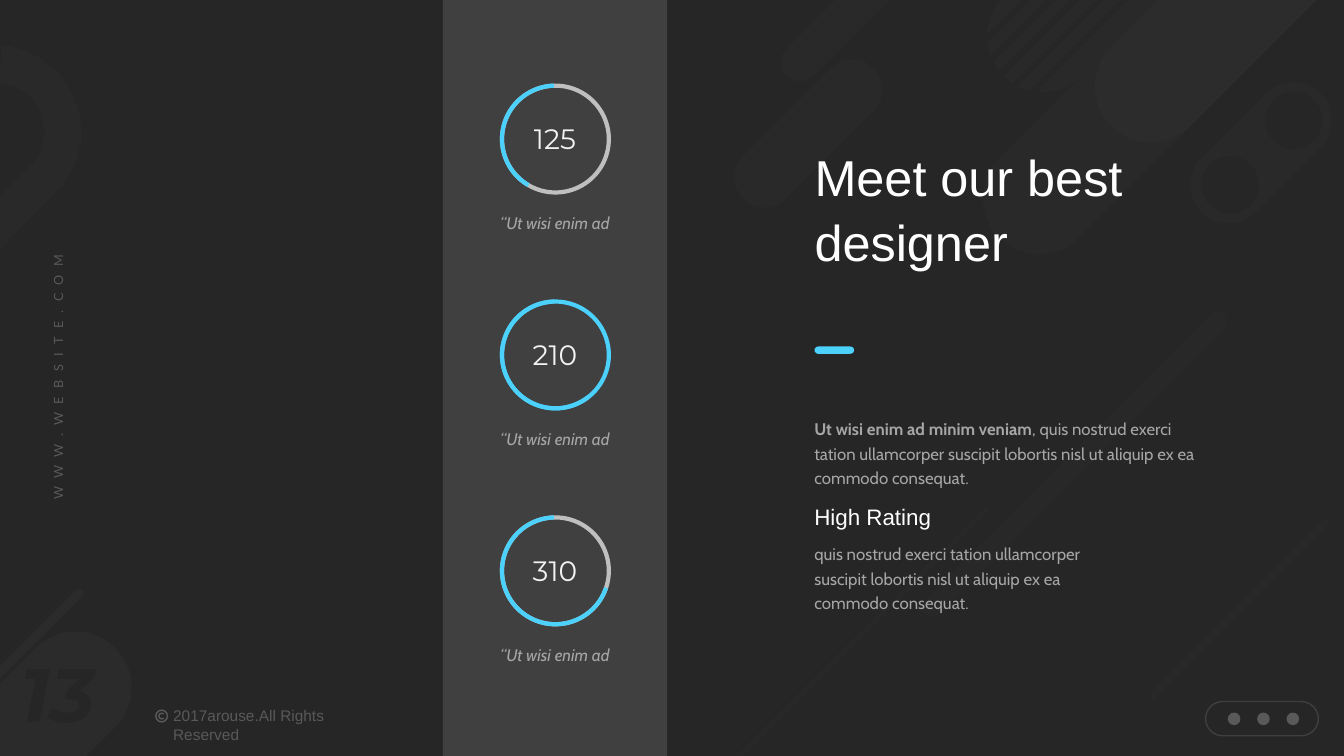
"""Build the dark "Meet our best designer" slide."""
from math import cos, radians, sin

from lxml.etree import SubElement
from pptx import Presentation
from pptx.dml.color import RGBColor
from pptx.enum.shapes import MSO_SHAPE
from pptx.enum.text import MSO_ANCHOR, MSO_AUTO_SIZE, PP_ALIGN
from pptx.oxml.ns import qn
from pptx.util import Pt

DARK = RGBColor(0x26, 0x26, 0x26)
PANEL = RGBColor(0x40, 0x40, 0x40)
DIM = RGBColor(0x59, 0x59, 0x59)
BODY = RGBColor(0xA6, 0xA6, 0xA6)
RING = RGBColor(0xBF, 0xBF, 0xBF)
LIGHT = RGBColor(0xF2, 0xF2, 0xF2)
WHITE = RGBColor(0xFF, 0xFF, 0xFF)
BLUE = RGBColor(0x4B, 0xD1, 0xFB)

FONTS = {
    "title": (dict(name="Arial", size=Pt(36)), WHITE),
    "heading": (dict(name="Arial", size=Pt(16)), WHITE),
    "body": (dict(name="Cabin", size=Pt(12)), BODY),
    "strong": (dict(name="Cabin", size=Pt(12), bold=True), BODY),
    "quote": (dict(name="Cabin", size=Pt(12), italic=True), BODY),
    "value": (dict(name="Montserrat", size=Pt(20)), LIGHT),
    "page": (dict(name="Montserrat", size=Pt(54), bold=True, italic=True), DARK),
    "site": (dict(name="Lato", size=Pt(9)), DIM),
    "rights": (dict(name="Arial", size=Pt(11)), DIM),
}


class Deck:
    """Hold the style and the current slide."""

    def __init__(self, s, fonts):
        self.s, self.fonts = s, fonts
        fill = s.background.fill
        fill.solid()
        fill.fore_color.rgb = DARK

    def paint(self, sp, fill=None, line=None, width=1, opacity=100):
        sp.shadow.inherit = False
        for part, color in ((sp.fill, fill), (sp.line.fill, line)):
            if color is None:
                part.background()
                continue
            part.solid()
            part.fore_color.rgb = color
        if line is not None:
            sp.line.width = Pt(width)
        if opacity < 100:
            for color in sp._element.spPr.iter(qn("a:srgbClr")):
                SubElement(color, qn("a:alpha"), val=str(opacity * 1000))
        return sp

    def shape(self, kind, x, y, w, h, **look):
        sp = self.s.shapes.add_shape(kind, Pt(x), Pt(y), Pt(w), Pt(h))
        return self.paint(sp, **look)

    def pill(self, x, y, w, h, rotation=0, **look):
        sp = self.shape(MSO_SHAPE.ROUNDED_RECTANGLE, x, y, w, h, **look)
        sp.adjustments[0] = 0.5
        sp.rotation = rotation
        return sp

    def disc(self, x, y, size, **look):
        return self.shape(MSO_SHAPE.OVAL, x, y, size, size, **look)

    def arc(self, x, y, size, start, end, **look):
        sp = self.shape(MSO_SHAPE.ARC, x, y, size, size, **look)
        for i, angle in enumerate((start, end)):
            sp.adjustments[i] = angle * 0.6
        return sp

    def outline(self, points, **look):
        builder = self.s.shapes.build_freeform(*points[0], scale=Pt(1))
        builder.add_line_segments(points[1:], close=True)
        return self.paint(builder.convert_to_shape(), **look)

    def fill_text(self, sp, runs, align=PP_ALIGN.LEFT, spacing=1.0):
        tf = sp.text_frame
        frame = dict(word_wrap=True, auto_size=MSO_AUTO_SIZE.NONE,
                     vertical_anchor=MSO_ANCHOR.TOP)
        for name, value in frame.items():
            setattr(tf, name, value)
        p = tf.paragraphs[0]
        p.alignment, p.line_spacing = align, spacing
        for style, text in runs:
            r = p.add_run()
            r.text = text
            values, color = self.fonts[style]
            for name, value in values.items():
                setattr(r.font, name, value)
            r.font.color.rgb = color
        return sp

    def text(self, x, y, w, h, *runs, **layout):
        sp = self.s.shapes.add_textbox(Pt(x), Pt(y), Pt(w), Pt(h))
        return self.fill_text(sp, runs, **layout)

    def title(self, x, y, w, h, text, **layout):
        sp = self.s.shapes.title
        box = dict(left=x, top=y, width=w, height=h)
        for name, value in box.items():
            setattr(sp, name, Pt(value))
        self.s.shapes._spTree.append(sp._element)
        return self.fill_text(sp, [("title", text)], **layout)

    def dial(self, y, value, start, ring):
        x, size = 358.6, 76.3
        self.disc(x, y, size, line=ring, width=3)
        self.arc(x, y, size, start, 268.5, line=BLUE, width=3)
        self.text(369.4, y + 22.3, 54, 31.7, ("value", value),
                  align=PP_ALIGN.CENTER)
        self.text(343.4, y + 84.5, 106, 24.5, ("quote", "“Ut wisi enim ad"),
                  align=PP_ALIGN.CENTER, spacing=1.2)


def circle_points(radius, angles):
    """Return points on a circle around the centre of the left hook."""
    return [(-3.6 + radius * cos(radians(a)), 94 + radius * sin(radians(a)))
            for a in angles]


def draw_backdrop(deck):
    """Draw the faint pills, hook and stripes."""
    hook = (circle_points(61.6, range(-86, 46, 3)) + [(0, 177.8), (0, 140.4)]
            + circle_points(35.2, range(45, -85, -3)))
    deck.outline(hook, fill=PANEL, opacity=15)
    for x, y, w, h in ((830.2, -207.4, 79.9, 442.1), (910.1, -287.3, 79.9, 442.1),
                       (833, -323.3, 79.9, 442.1), (873.4, 49, 54.7, 120.2)):
        deck.pill(x, y, w, h, 45, fill=PANEL, opacity=15)
    for x, y in ((903.6, 65.5), (858.2, 111.6)):
        deck.disc(x, y, 41, fill=DARK)
    for i in range(5):
        deck.pill(697.7 + 17.5 * i, -172.1, 4.3, 410.4, 45, fill=DARK)
    for x, y, w, h, opacity in ((-4.3, 443.5, 79.9, 131.8, 20),
                                (20.2, 406.8, 6.5, 100.1, 20),
                                (596.9, 319.7, 3.6, 300.2, 10),
                                (760.3, 180.7, 14.4, 301.7, 10),
                                (555.8, 29.5, 43.2, 131.8, 12),
                                (594.7, -58.3, 27.4, 131.8, 15),
                                (882.7, 345.6, 5, 179.3, 10)):
        deck.pill(x, y, w, h, 45, fill=PANEL, opacity=opacity)


def draw_footer(deck):
    """Draw the page number, rights line, site address and social pill."""
    deck.text(0, 458.4, 83, 72, ("page", "13"), align=PP_ALIGN.CENTER)
    deck.disc(111.3, 507.3, 8.4, line=DIM)
    deck.arc(113.5, 509.5, 4, 45, 315, line=DIM)
    deck.text(116.6, 501.1, 150, 36, ("rights", "2017arouse.All Rights Reserved"))
    site = deck.text(-62.6, 260.6, 208.1, 18, ("site", "WWW.WEBSITE.COM"),
                     align=PP_ALIGN.CENTER)
    site.rotation = 270
    site.text_frame.paragraphs[0].runs[0].font._element.set("spc", "600")
    deck.pill(861.1, 501.1, 80.6, 24.5, line=DIM, opacity=50)
    for i in range(3):
        deck.disc(877 + 21 * i, 509, 9, fill=DIM)


def main():
    prs = Presentation()
    prs.slide_width, prs.slide_height = Pt(960), Pt(540)
    deck = Deck(prs.slides.add_slide(prs.slide_layouts[5]), FONTS)
    draw_backdrop(deck)
    draw_footer(deck)
    deck.shape(MSO_SHAPE.RECTANGLE, 316.3, 0, 160.3, 540, fill=PANEL)
    dials = (("125", 120.3, RING), ("210", 52.7, BLUE), ("310", 18.6, RING))
    for i, (value, start, ring) in enumerate(dials):
        deck.dial(61.2 + 154.2 * i, value, start, ring)
    deck.text(574.6, 382.3, 214.6, 59.8,
              ("body", "quis nostrud exerci tation ullamcorper suscipit lobortis "
                       "nisl ut aliquip ex ea commodo consequat."), spacing=1.2)
    deck.text(574.6, 352.1, 174.2, 28.1, ("heading", "High Rating"), spacing=1.2)
    deck.text(574.6, 293, 292.3, 59.8, ("strong", "Ut wisi enim ad minim veniam"),
              ("body", ", quis nostrud exerci tation ullamcorper suscipit lobortis "
                       "nisl ut aliquip ex ea commodo consequat."), spacing=1.2)
    deck.pill(581.8, 247.5, 28.3, 5.2, fill=BLUE)
    deck.title(574.6, 97.9, 236.9, 138.2, "Meet our best designer", spacing=1.07)
    prs.save("out.pptx")


if __name__ == "__main__":
    main()
